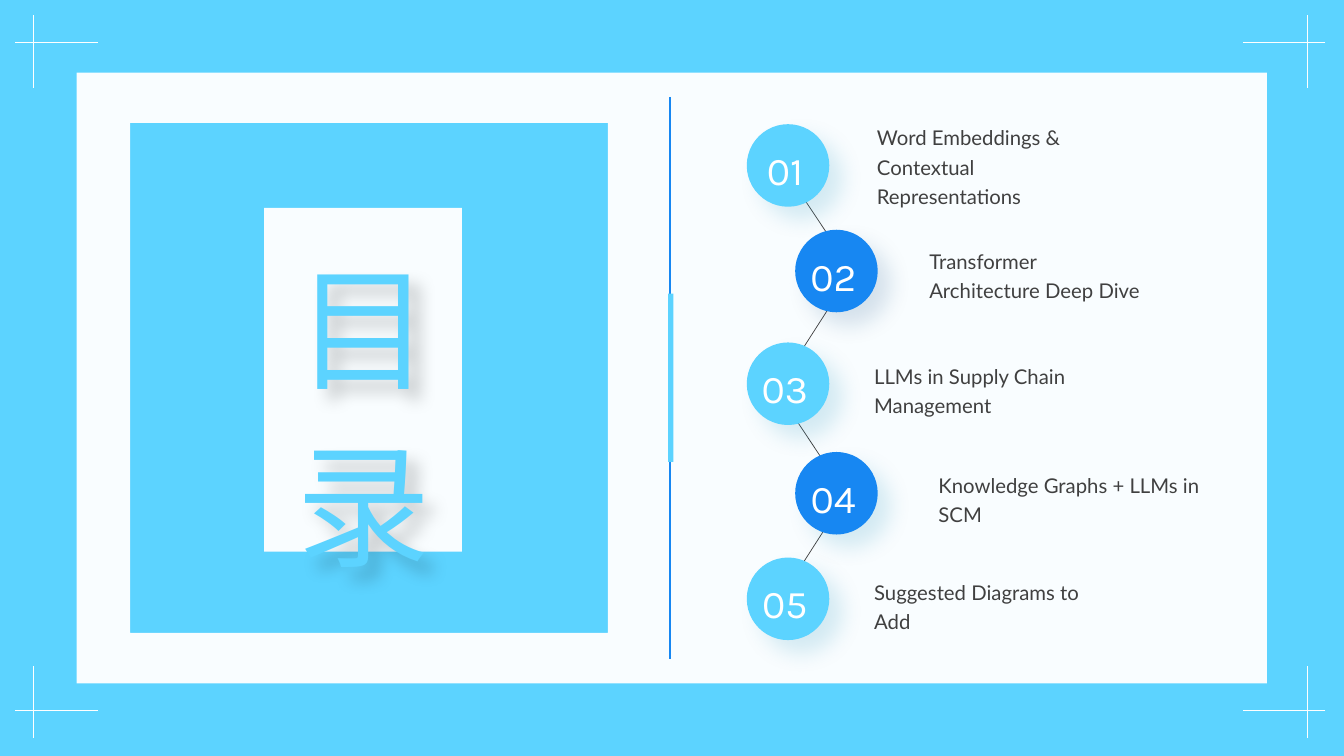
"""Build a contents slide with a zigzag chain of five numbered topics."""
from dataclasses import dataclass
from itertools import product

from lxml.etree import SubElement
from pptx import Presentation
from pptx.dml.color import RGBColor
from pptx.enum.shapes import MSO_CONNECTOR, MSO_SHAPE
from pptx.enum.text import MSO_ANCHOR, PP_ALIGN
from pptx.oxml import parse_xml
from pptx.oxml.ns import nsdecls, qn
from pptx.util import Cm, Pt

SKY, BLUE, WHITE, GREY = "5CD3FF", "1787F2", "FFFFFF", "404040"
WIDTH, HEIGHT = 33.87, 19.05
DIAMETER = 2.08
LEFT_COLUMN, RIGHT_COLUMN = 18.82, 20.04


@dataclass
class Topic:
    """A numbered circle with its caption, in centimetres."""
    caption: str
    circle_top: float
    caption_left: float
    caption_top: float
    caption_width: float = 5.49
    shadow: str = "007FAE"


@dataclass
class Line:
    """A straight line, in centimetres."""
    x1: float
    y1: float
    x2: float
    y2: float
    color: str
    weight: float = 0.5


TOPICS = [
    Topic("Word Embeddings & Contextual Representations", 3.13, 22.1, 3.0),
    Topic("Transformer Architecture Deep Dive", 5.79, 23.42, 5.74, shadow="07447D"),
    Topic("LLMs in Supply Chain Management", 8.63, 22.03, 8.64),
    Topic("Knowledge Graphs + LLMs in SCM", 11.39, 23.65, 11.39, 6.6),
    Topic("Suggested Diagrams to Add", 14.05, 22.03, 14.08),
]
LINK_TOPS = [4.72, 7.54, 10.59, 12.95]
LINK_HEIGHT = 1.34


def rgb(color: str) -> RGBColor:
    """Turn a hex string into a colour."""
    return RGBColor.from_string(color)


def cast_shadow(shape, color: str, alpha: int, blur: float, distance: float) -> None:
    """Give a shape one shadow cast to the lower right."""
    shape.shadow.inherit = False
    properties = shape._element.spPr
    properties.replace(properties.find(qn("a:effectLst")), parse_xml(
        f'<a:effectLst {nsdecls("a")}><a:outerShdw blurRad="{Pt(blur)}" '
        f'dist="{Pt(distance)}" dir="2700000" algn="tl" rotWithShape="0">'
        f'<a:srgbClr val="{color}"><a:alpha val="{alpha * 1000}"/></a:srgbClr>'
        f'</a:outerShdw></a:effectLst>'))


def paint(shape, color: str, opacity: int = 100) -> None:
    """Give a shape a flat fill with no line and no shadow."""
    shape.shadow.inherit = False
    shape.fill.solid()
    shape.fill.fore_color.rgb = rgb(color)
    shape.line.fill.background()
    if opacity < 100:
        fill_color = shape._element.spPr.find(f'{qn("a:solidFill")}/{qn("a:srgbClr")}')
        SubElement(fill_color, qn("a:alpha")).set("val", str(opacity * 1000))


def add_block(slide, kind, left: float, top: float, width: float, height: float,
              color: str, opacity: int = 100):
    """Add a painted preset shape."""
    shape = slide.shapes.add_shape(kind, Cm(left), Cm(top), Cm(width), Cm(height))
    paint(shape, color, opacity)
    return shape


def add_line(slide, line: Line) -> None:
    """Add a straight line without a shadow."""
    connector = slide.shapes.add_connector(
        MSO_CONNECTOR.STRAIGHT, Cm(line.x1), Cm(line.y1), Cm(line.x2), Cm(line.y2))
    connector.line.color.rgb = rgb(line.color)
    connector.line.width = Pt(line.weight)
    SubElement(connector._element.spPr, qn("a:effectLst"))


def add_text(slide, text: str, left: float, top: float, width: float, height: float, *,
             size: float, color: str, font: str = "Lato", spacing: float = 1.1,
             wrap: bool = True, anchor=MSO_ANCHOR.TOP, align=PP_ALIGN.LEFT):
    """Add a one-paragraph text box and return it."""
    box = slide.shapes.add_textbox(Cm(left), Cm(top), Cm(width), Cm(height))
    frame = box.text_frame
    frame.margin_left = frame.margin_right = frame.margin_top = frame.margin_bottom = 0
    frame.word_wrap = wrap
    frame.vertical_anchor = anchor
    paragraph = frame.paragraphs[0]
    paragraph.alignment = align
    paragraph.line_spacing = spacing
    run = paragraph.add_run()
    run.text = text
    run.font.size = Pt(size)
    run.font.name = font
    run.font.color.rgb = rgb(color)
    return box


def add_panel(slide) -> None:
    """Add the white panel with a rectangular window on its left."""
    def corners(left: float, top: float, right: float, bottom: float) -> list:
        return [(Cm(x), Cm(y)) for x, y in
                ((left, top), (left, bottom), (right, bottom), (right, top))]

    window = corners(3.28, 3.1, 15.32, 15.95)
    outline = corners(1.93, 1.83, 31.93, 17.22)
    builder = slide.shapes.build_freeform(*window[0])
    builder.add_line_segments(window[1:], close=True)
    builder.move_to(*outline[0])
    builder.add_line_segments(outline[:0:-1], close=True)
    paint(builder.convert_to_shape(), WHITE, 97)


def add_corner_marks(slide) -> None:
    """Add a thin cross in each corner."""
    for (x, inward_x), (y, inward_y) in product(((0.84, 1), (32.94, -1)),
                                                ((1.07, 1), (17.91, -1))):
        add_line(slide, Line(x - 0.46 * inward_x, y, x + 1.62 * inward_x, y, WHITE))
        add_line(slide, Line(x, y - 0.69 * inward_y, x, y + 1.14 * inward_y, WHITE))


def add_topics(slide) -> None:
    """Add the links, then the numbered circles and their captions."""
    for index, top in enumerate(LINK_TOPS):
        start, end = (21.03, 20.17) if index % 2 else (20.07, 20.96)
        add_line(slide, Line(start, top, end, top + LINK_HEIGHT, GREY))
    for index, topic in enumerate(TOPICS):
        left, color = (RIGHT_COLUMN, BLUE) if index % 2 else (LEFT_COLUMN, SKY)
        circle = add_block(slide, MSO_SHAPE.OVAL, left, topic.circle_top,
                           DIAMETER, DIAMETER, color)
        cast_shadow(circle, topic.shadow, 15, 16, 13)
        add_text(slide, f"{index + 1:02}", left + 0.31, topic.circle_top + 0.44, 1.3, 1.09,
                 size=28, color=WHITE, font="Karla", wrap=False, align=PP_ALIGN.CENTER)
        add_text(slide, topic.caption, topic.caption_left, topic.caption_top,
                 topic.caption_width, 2.29, size=14.5, color=GREY, spacing=1.2,
                 anchor=MSO_ANCHOR.MIDDLE)


def main() -> None:
    """Compose and save the slide."""
    presentation = Presentation()
    presentation.slide_width, presentation.slide_height = Cm(WIDTH), Cm(HEIGHT)
    slide = presentation.slides.add_slide(presentation.slide_layouts[6])
    add_block(slide, MSO_SHAPE.RECTANGLE, 0, 0, WIDTH, HEIGHT, SKY)
    add_panel(slide)
    add_line(slide, Line(16.89, 2.44, 16.89, 16.61, BLUE, 1.25))
    add_block(slide, MSO_SHAPE.RECTANGLE, 16.84, 7.4, 0.13, 4.24, SKY)
    add_corner_marks(slide)
    add_block(slide, MSO_SHAPE.RECTANGLE, 6.66, 5.24, 4.98, 8.66, WHITE, 97)
    add_topics(slide)
    title = add_text(slide, "目录", 7.47, 5.77, 6.55, 7.47, size=96, color=SKY)
    cast_shadow(title, "000000", 20, 12, 11)
    presentation.save("out.pptx")


if __name__ == "__main__":
    main()
